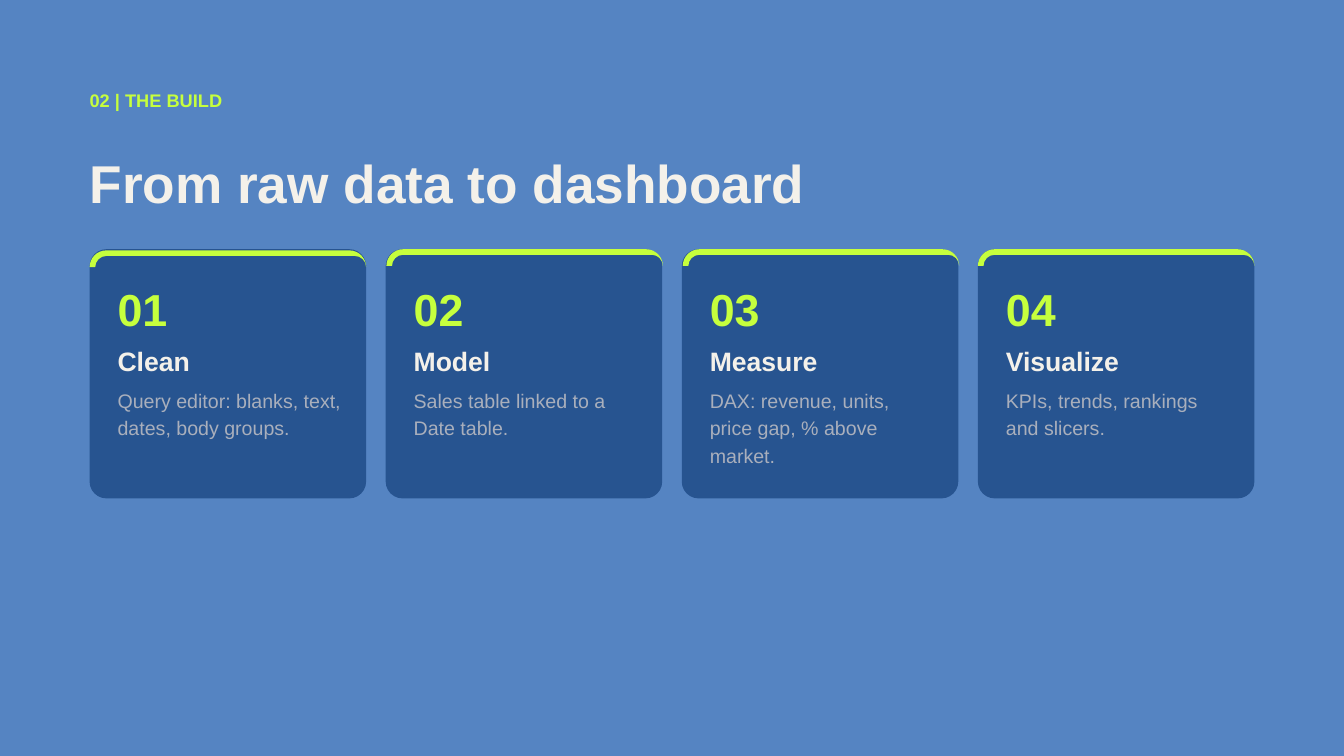
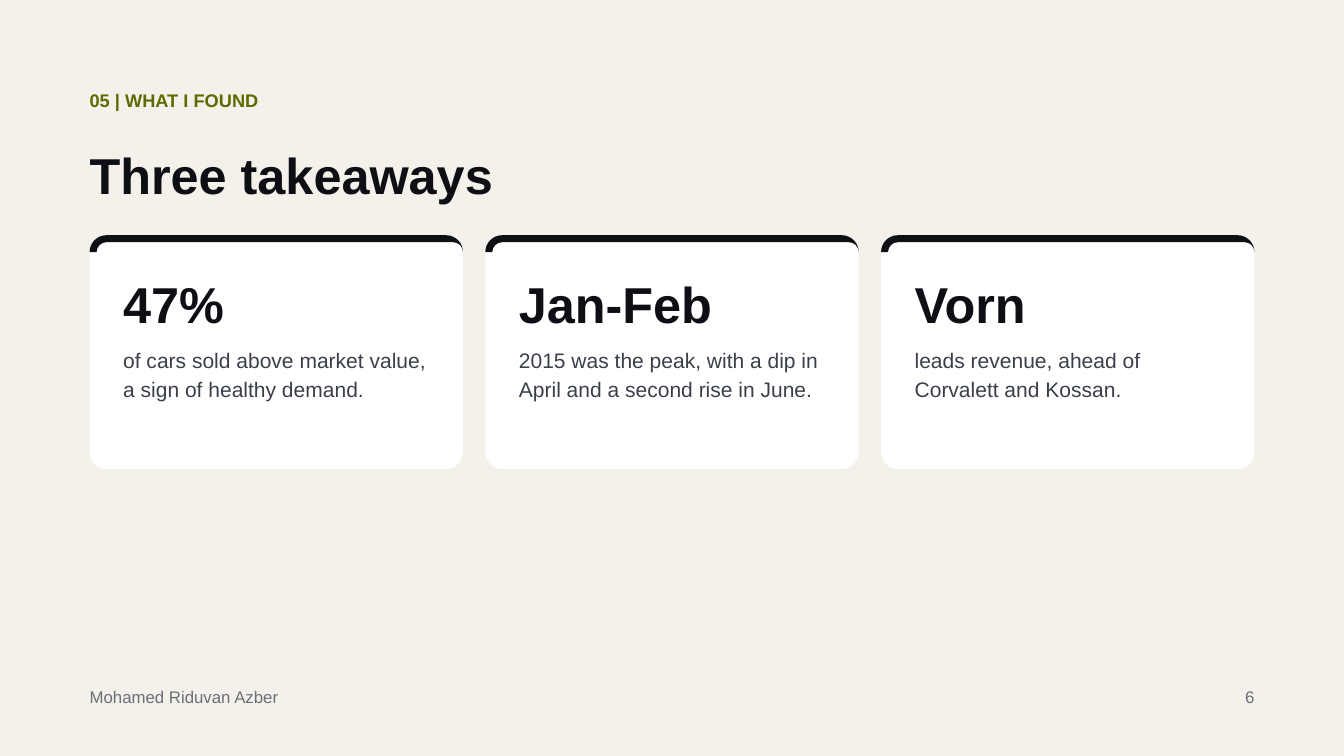
"""Builds two slides of cards: the build steps and the takeaways."""
import lxml.etree
import pptx
import pptx.dml.color
import pptx.enum.shapes
import pptx.enum.text
import pptx.oxml.ns
import pptx.util

Pt = pptx.util.Pt
RGBColor = pptx.dml.color.RGBColor
qn = pptx.oxml.ns.qn

BLUE = RGBColor(0x55, 0x84, 0xC2)
NAVY = RGBColor(0x27, 0x54, 0x90)
LIME = RGBColor(0xC6, 0xFF, 0x3D)
CREAM = RGBColor(0xF4, 0xF1, 0xEA)
SILVER = RGBColor(0xA9, 0xAF, 0xBC)
OLIVE = RGBColor(0x5B, 0x6B, 0x00)
INK = RGBColor(0x0D, 0x0F, 0x14)
SLATE = RGBColor(0x3A, 0x3F, 0x4A)
GREY = RGBColor(0x6B, 0x6F, 0x78)
WHITE = RGBColor(0xFF, 0xFF, 0xFF)

FONT = "Arial"
MARGIN, CONTENT_WIDTH, HEADING_WIDTH = 96, 1248, 1285
RADIUS = 18
CURVE = 0.55
LEFT, RIGHT = pptx.enum.text.PP_ALIGN.LEFT, pptx.enum.text.PP_ALIGN.RIGHT

# Each line style: top, height, font size, line spacing, colour, bold.
SLIDES = [
    {
        "background": BLUE, "card_fill": NAVY, "accent": LIME,
        "section": "02 | THE BUILD", "section_colour": LIME,
        "title": "From raw data to dashboard",
        "title_style": (170, 58.5, 57, 59.9, CREAM, True),
        "card_top": 267, "card_height": 267, "gap": 21, "bar": 6,
        "inset": 30, "text_width": 243.5,
        "bar_shifts": [(0, 1.25), (0.75, 0), (1, 0), (0, 0)],
        "line_styles": [
            (301.5, 62, 48, 57.6, LIME, True),
            (370, 39, 28.5, 34.2, CREAM, True),
            (412.2, 95, 21, 29.4, SILVER, False),
        ],
        "cards": [
            ("01", "Clean", "Query editor: blanks, text, dates, body groups."),
            ("02", "Model", "Sales table linked to a Date table."),
            ("03", "Measure", "DAX: revenue, units, price gap, % above market."),
            ("04", "Visualize", "KPIs, trends, rankings and slicers."),
        ],
        "footer": [],
    },
    {
        "background": CREAM, "card_fill": WHITE, "accent": INK,
        "section": "05 | WHAT I FOUND", "section_colour": OLIVE,
        "title": "Three takeaways",
        "title_style": (162.75, 56, 54, 56.7, INK, True),
        "card_top": 252, "card_height": 250.5, "gap": 24, "bar": 7.5,
        "inset": 36, "text_width": 337.5,
        "bar_shifts": [(0, 0)] * 3,
        "line_styles": [
            (293, 70, 54, 64.8, INK, True),
            (367.75, 102, 22.5, 31.5, SLATE, False),
        ],
        "cards": [
            ("47%", "of cars sold above market value, a sign of healthy demand."),
            ("Jan-Feb", "2015 was the peak, with a dip in April and a second rise in June."),
            ("Vorn", "leads revenue, ahead of Corvalett and Kossan."),
        ],
        "footer": [("Mohamed Riduvan Azber", MARGIN, 256, LEFT), ("6", 1188, 156, RIGHT)],
    },
]


def add_text(slide, text, left, width, style, align=LEFT):
    top, height, size, spacing, colour, bold = style
    frame = slide.shapes.add_textbox(Pt(left), Pt(top), Pt(width), Pt(height)).text_frame
    frame.word_wrap = True
    frame.auto_size = pptx.enum.text.MSO_AUTO_SIZE.SHAPE_TO_FIT_TEXT
    frame.margin_left = frame.margin_top = frame.margin_right = frame.margin_bottom = 0
    paragraph = frame.paragraphs[0]
    paragraph.text = text
    paragraph.alignment = align
    paragraph.line_spacing = Pt(spacing)
    font = paragraph.font
    font.name, font.size, font.bold = FONT, Pt(size), bold
    font.color.rgb = colour


def paint(shape, colour):
    shape.shadow.inherit = False
    shape.fill.solid()
    shape.fill.fore_color.rgb = colour
    shape.line.fill.background()


def round_corner(segment, start, corner, end):
    """Turns a straight path segment into a quarter curve around a corner."""
    segment.tag = qn("a:cubicBezTo")
    for point in list(segment):
        segment.remove(point)
    controls = [tuple(p + (c - p) * CURVE for p, c in zip(point, corner))
                for point in (start, end)]
    for x, y in controls + [end]:
        lxml.etree.SubElement(segment, qn("a:pt"), x=str(Pt(x)), y=str(Pt(y)))


def add_bar(slide, left, top, width, thickness, colour):
    inner = RADIUS - thickness
    points = [(0, RADIUS), (RADIUS, 0), (width - RADIUS, 0), (width, RADIUS),
              (width - inner, thickness), (RADIUS, thickness), (thickness, RADIUS)]
    corners = {1: (0, 0), 3: (width, 0), 4: (width, thickness), 6: (thickness, thickness)}
    vertices = [(Pt(x), Pt(y)) for x, y in points]
    builder = slide.shapes.build_freeform(*vertices[0])
    builder.add_line_segments(vertices[1:], close=True)
    bar = builder.convert_to_shape(Pt(left), Pt(top))
    segments = list(bar.element.iter(qn("a:lnTo")))
    for end, corner in corners.items():
        round_corner(segments[end - 1], points[end - 1], corner, points[end])
    paint(bar, colour)


def add_cards(slide, content):
    cards, top, height = content["cards"], content["card_top"], content["card_height"]
    width = (CONTENT_WIDTH - content["gap"] * (len(cards) - 1)) / len(cards)
    for index, (lines, (shift_x, shift_y)) in enumerate(zip(cards, content["bar_shifts"])):
        left = MARGIN + index * (width + content["gap"])
        card = slide.shapes.add_shape(pptx.enum.shapes.MSO_SHAPE.ROUNDED_RECTANGLE,
                                      Pt(left), Pt(top), Pt(width), Pt(height))
        card.adjustments[0] = RADIUS / min(width, height)
        paint(card, content["card_fill"])
        add_bar(slide, left + shift_x, top + shift_y, width, content["bar"], content["accent"])
        for line, style in zip(lines, content["line_styles"]):
            add_text(slide, line, left + content["inset"], content["text_width"], style)


def main():
    deck = pptx.Presentation()
    deck.slide_width, deck.slide_height = Pt(1440), Pt(810)
    for content in SLIDES:
        slide = deck.slides.add_slide(deck.slide_layouts[6])
        slide.background.fill.solid()
        slide.background.fill.fore_color.rgb = content["background"]
        section_style = (91.5, 34.5, 19.5, 27.3, content["section_colour"], True)
        add_text(slide, content["section"], MARGIN, HEADING_WIDTH, section_style)
        add_text(slide, content["title"], MARGIN, HEADING_WIDTH, content["title_style"])
        add_cards(slide, content)
        for text, left, width, align in content["footer"]:
            add_text(slide, text, left, width, (732, 32.5, 18, 25.2, GREY, False), align)
    deck.save("out.pptx")


if __name__ == "__main__":
    main()
